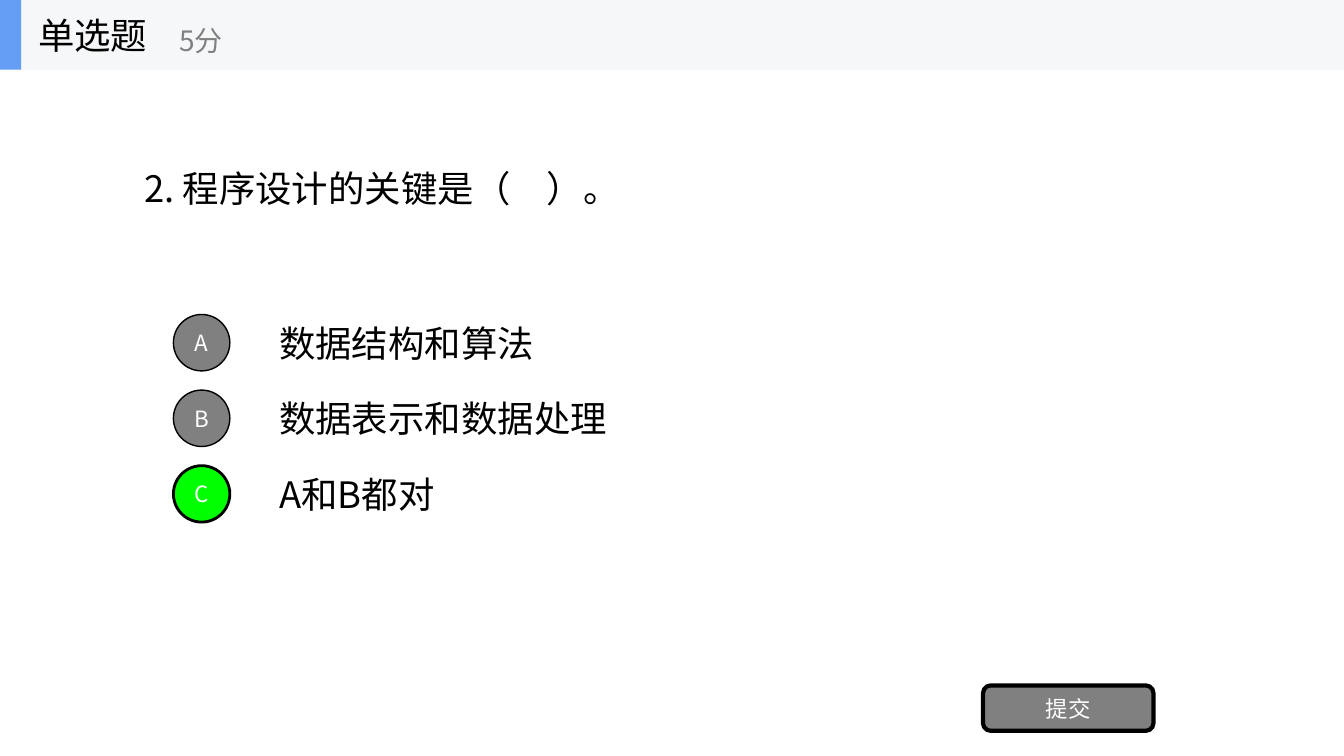
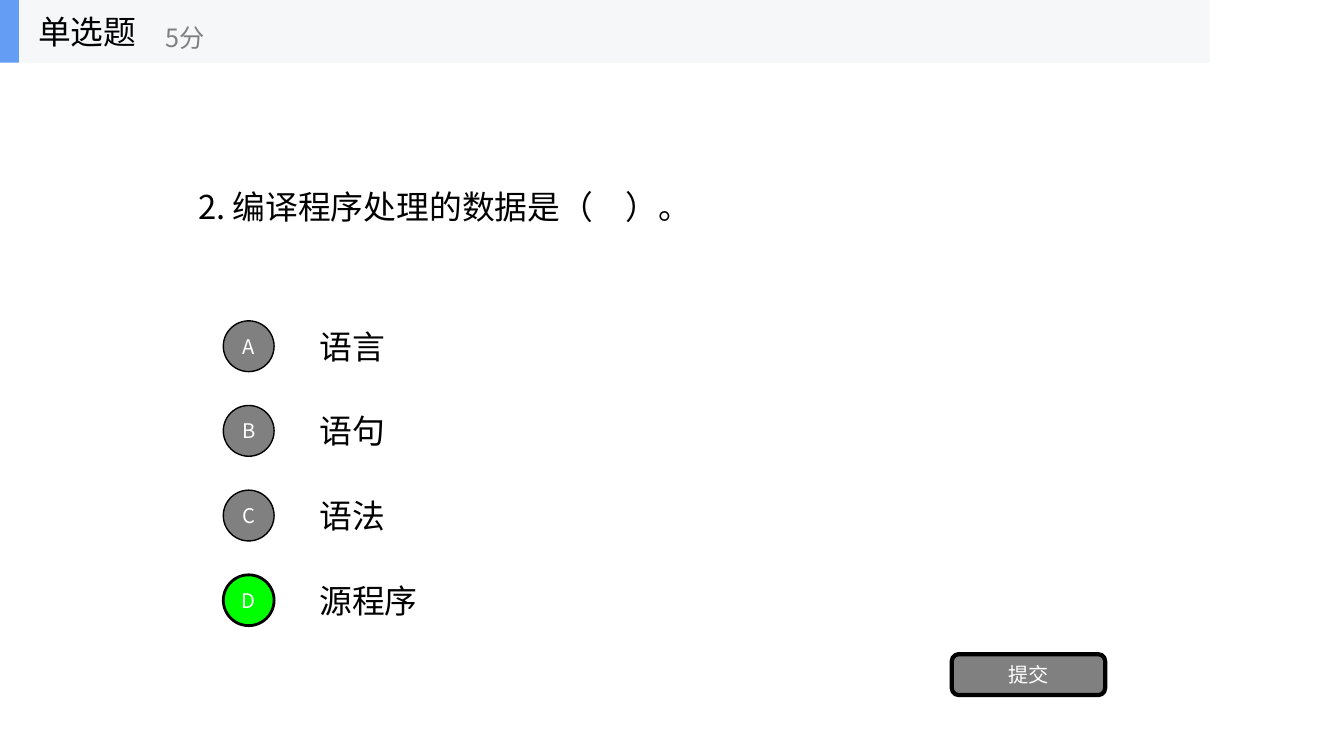
from lxml.etree import SubElement
from pptx import Presentation
from pptx.dml.color import RGBColor
from pptx.enum.shapes import MSO_SHAPE
from pptx.enum.text import MSO_ANCHOR, MSO_AUTO_SIZE, PP_ALIGN
from pptx.oxml.ns import qn
from pptx.util import Inches, Pt

# Content: scale is the size of all parts relative to the full-width layout
QUESTIONS = [
    {"question": "2. 程序设计的关键是（　）。",
     "options": ["数据结构和算法", "数据表示和数据处理", "A和B都对"],
     "correct": "C", "scale": 1,
     "left": 2.67, "top": 3.05, "step": 0.75, "button": (9.75, 6.8)},
    {"question": "2. 编译程序处理的数据是（　）。",
     "options": ["语言", "语句", "语法", "源程序"],
     "correct": "D", "scale": 0.9,
     "left": 3.07, "top": 3.12, "step": 0.84, "button": (9.44, 6.49)},
]
HEADING, SCORE, SUBMIT = "单选题", "5分", "提交"

# Shared style
FONT = "Noto Sans CJK SC"
COLORS = {"text": "000000", "muted": "808080", "white": "FFFFFF",
          "band": "F6F7F8", "accent": "639EF4", "correct": "00FF00"}
TEXT_SIZE, SCORE_SIZE, BUTTON_SIZE = 26, 20, 16
ROW_HEIGHT, CIRCLE = 0.7, 0.56


def color(name):
    return RGBColor.from_string(COLORS[name])


def write(shape, text, size, color_name="text", align=PP_ALIGN.LEFT):
    frame = shape.text_frame
    frame.text = text
    frame.word_wrap = True
    frame.auto_size = MSO_AUTO_SIZE.NONE
    frame.vertical_anchor = MSO_ANCHOR.MIDDLE
    paragraph = frame.paragraphs[0]
    paragraph.alignment = align
    paragraph.font.size = Pt(size)
    paragraph.font.color.rgb = color(color_name)
    paragraph.font.name = FONT
    # East Asian characters take their own font element
    properties = paragraph._p.get_or_add_pPr().get_or_add_defRPr()
    SubElement(properties, qn("a:ea"), typeface=FONT)


def add_text(shapes, box, text, size, color_name="text"):
    write(shapes.add_textbox(*map(Inches, box)), text, size, color_name)


def add_block(shapes, kind, box, fill, line_width=0):
    shape = shapes.add_shape(kind, *map(Inches, box))
    shape.shadow.inherit = False
    shape.fill.solid()
    shape.fill.fore_color.rgb = color(fill)
    if line_width:
        shape.line.color.rgb = color("text")
        shape.line.width = Pt(line_width)
    else:
        shape.line.fill.background()
    return shape


def add_button(shapes, kind, box, text, size, fill, line_width):
    shape = add_block(shapes, kind, box, fill, line_width)
    frame = shape.text_frame
    frame.margin_left = frame.margin_right = 0
    frame.margin_top = frame.margin_bottom = 0
    write(shape, text, size, "white", PP_ALIGN.CENTER)


def add_header(slide, scale):
    shapes = slide.shapes.add_group_shape().shapes
    height = 0.69 * scale
    add_block(shapes, MSO_SHAPE.RECTANGLE, (0, 0, 13.33 * scale, height), "band")
    add_block(shapes, MSO_SHAPE.RECTANGLE, (0, 0, 0.21 * scale, height), "accent")
    add_text(shapes, (0.28, 0, 2.08 * scale, height), HEADING, TEXT_SIZE * scale)
    add_text(shapes, (0.28 + 1.4 * scale, 0.12, 2.5 * scale, 0.56 * scale),
             SCORE, SCORE_SIZE * scale, "muted")


def add_question(presentation, item):
    slide = presentation.slides.add_slide(presentation.slide_layouts[5])
    scale, left, top = item["scale"], item["left"], item["top"]
    text_size, button_size = TEXT_SIZE * scale, BUTTON_SIZE * scale

    # Question
    title = slide.shapes.title
    title.left, title.top = Inches(left - 1.34 * scale), Inches(top - 2.36 * scale)
    title.width, title.height = Inches(10.67 * scale), Inches(2.34 * scale)
    write(title, item["question"], text_size)

    # Options, each with a lettered circle centred on its row
    row_height, circle = ROW_HEIGHT * scale, CIRCLE * scale
    for index, (letter, option) in enumerate(zip("ABCD", item["options"])):
        row_top = top + index * item["step"]
        add_text(slide.shapes, (left, row_top, 9.33 * scale, row_height),
                 option, text_size)
        fill, line_width = ("correct", 2) if letter == item["correct"] else ("muted", 1)
        circle_box = (left - 0.95 * scale, row_top + (row_height - circle) / 2,
                      circle, circle)
        add_button(slide.shapes, MSO_SHAPE.OVAL, circle_box, letter,
                   button_size, fill, line_width)

    # Submit button and header band
    submit_box = (*item["button"], 1.69 * scale, 0.45 * scale)
    add_button(slide.shapes, MSO_SHAPE.ROUNDED_RECTANGLE, submit_box, SUBMIT,
               button_size, "muted", 3)
    add_header(slide, scale)


def main():
    presentation = Presentation()
    presentation.slide_width, presentation.slide_height = Inches(13.33), Inches(7.5)
    for item in QUESTIONS:
        add_question(presentation, item)
    presentation.save("out.pptx")


if __name__ == "__main__":
    main()
